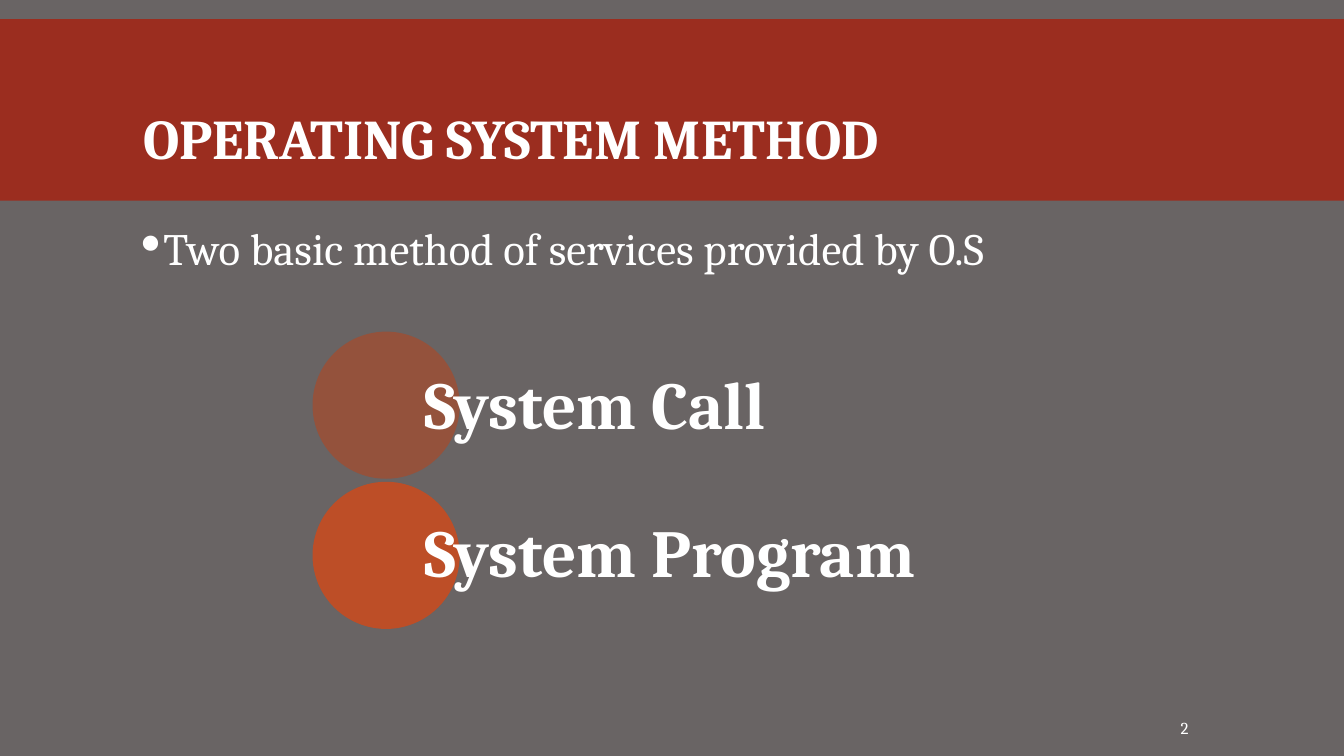
"""Build the slide on the two operating system service methods."""
from lxml import etree
from pptx import Presentation
from pptx.dml.color import RGBColor
from pptx.enum.shapes import MSO_SHAPE
from pptx.enum.text import MSO_ANCHOR, MSO_AUTO_SIZE, PP_ALIGN
from pptx.oxml.ns import qn
from pptx.util import Inches, Pt

TITLE = "OPERATING SYSTEM METHOD"
BULLET = "Two basic method of services provided by O.S"
PAGE_NUMBER = "2"
METHODS = [
    ("System Call", "BF4115", 50, 3.32),
    ("System Program", "D34918", 80, 4.78),
]
FONT = "Cambria"
WHITE, GREY, RED = "FFFFFF", "696464", "9B2D1F"
CIRCLE_LEFT, CIRCLE_TOP, CIRCLE_SIZE, CIRCLE_STEP = 3.1, 3.29, 1.46, 1.49
LABEL_LEFT, LABEL_WIDTH = 4.21, 7.78


def paint(fill, color, opacity=100):
    """Apply a solid fill, with opacity in percent."""
    fill.solid()
    fill.fore_color.rgb = RGBColor.from_string(color)
    if opacity < 100:
        color_node = fill.fore_color._xFill.find(qn("a:srgbClr"))
        etree.SubElement(color_node, qn("a:alpha"), val=str(opacity * 1000))


def add_filled(page, kind, place, color, opacity=100):
    """Add a borderless preset shape."""
    shape = page.shapes.add_shape(kind, *map(Inches, place))
    shape.shadow.inherit = False
    paint(shape.fill, color, opacity)
    shape.line.fill.background()
    return shape


def write(box, text, size, bold=False, spacing=1.0, anchor=MSO_ANCHOR.MIDDLE,
          insets=(0.1, 0.05, 0.1, 0.05)):
    """Fill a box with one left-aligned white paragraph and return it."""
    frame = box.text_frame
    frame.word_wrap = True
    frame.auto_size = MSO_AUTO_SIZE.NONE
    frame.vertical_anchor = anchor
    (frame.margin_left, frame.margin_top,
     frame.margin_right, frame.margin_bottom) = map(Inches, insets)
    para = frame.paragraphs[0]
    para.text = text
    para.alignment = PP_ALIGN.LEFT
    para.line_spacing = spacing
    para.font.name = FONT
    para.font.size = Pt(size)
    para.font.bold = bold
    para.font.color.rgb = RGBColor.from_string(WHITE)
    return para


def move(box, place):
    """Set the left, top, width and height of a box in inches."""
    box.left, box.top, box.width, box.height = map(Inches, place)


def add_bullet(para):
    """Give a paragraph a white square bullet with a hanging indent."""
    properties = para._p.get_or_add_pPr()
    properties.set("marL", str(Inches(0.2)))
    properties.set("indent", str(Inches(-0.2)))
    color = etree.SubElement(properties, qn("a:buClr"))
    etree.SubElement(color, qn("a:srgbClr"), val=WHITE)
    etree.SubElement(properties, qn("a:buFont"), typeface="Wingdings 2")
    etree.SubElement(properties, qn("a:buChar"), char="▪")
    properties.append(properties.find(qn("a:defRPr")))


def main():
    """Compose and save the deck."""
    deck = Presentation()
    deck.slide_width, deck.slide_height = Inches(13.33), Inches(7.5)
    page = deck.slides.add_slide(deck.slide_layouts[1])
    paint(page.background.fill, GREY)

    title, body = page.placeholders
    band = add_filled(page, MSO_SHAPE.RECTANGLE, (0, 0.19, 13.33, 1.8), RED)
    title.element.addprevious(band.element)
    move(title, (1.32, 0.31, 10.7, 1.65))
    write(title, TITLE, 40, bold=True, spacing=0.85, insets=(0.1, 0.6, 0.1, 0.05))

    move(body, (1.32, 2.2, 10.7, 4.6))
    para = write(body, BULLET, 32, spacing=0.9, anchor=MSO_ANCHOR.TOP)
    para.space_before, para.space_after = Pt(12), Pt(2)
    add_bullet(para)

    number = page.shapes.add_textbox(*map(Inches, (11.66, 7.02, 1.03, 0.4)))
    write(number, PAGE_NUMBER, 12, insets=(0.05, 0.05, 0.1, 0.05))

    for row, (name, color, opacity, label_top) in enumerate(METHODS):
        circle_top = CIRCLE_TOP + row * CIRCLE_STEP
        add_filled(page, MSO_SHAPE.OVAL,
                   (CIRCLE_LEFT, circle_top, CIRCLE_SIZE, CIRCLE_SIZE), color, opacity)
        label = page.shapes.add_textbox(
            *map(Inches, (LABEL_LEFT, label_top, LABEL_WIDTH, CIRCLE_SIZE)))
        write(label, name, 48, bold=True, spacing=0.9, insets=(0, 0.07, 0, 0.07))

    deck.save("out.pptx")


if __name__ == "__main__":
    main()
